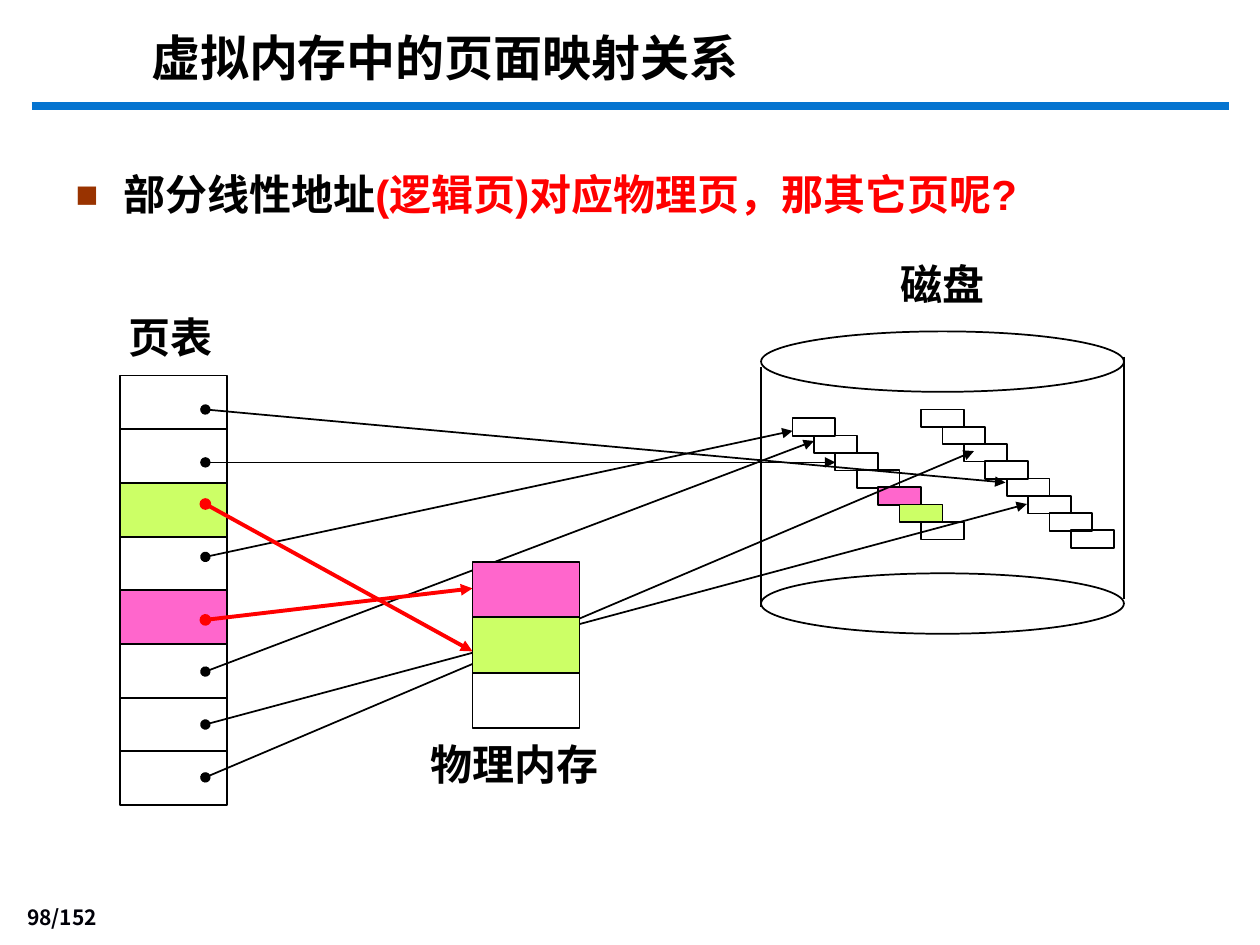
from lxml import etree
from pptx import Presentation
from pptx.dml.color import RGBColor
from pptx.enum.shapes import MSO_CONNECTOR, MSO_SHAPE
from pptx.enum.text import MSO_ANCHOR, PP_ALIGN
from pptx.oxml.ns import qn
from pptx.util import Inches, Pt

LINE = MSO_CONNECTOR.STRAIGHT
RECT, OVAL = MSO_SHAPE.RECTANGLE, MSO_SHAPE.OVAL
TOP, LOW = MSO_ANCHOR.TOP, MSO_ANCHOR.BOTTOM
LEFT, RIGHT = PP_ALIGN.LEFT, PP_ALIGN.RIGHT
BLACK, RED, PINK, LIME = "000000", "FF0000", "FF66CC", "CCFF66"
hue = RGBColor.from_string

prs = Presentation()
prs.slide_width, prs.slide_height = Inches(10), Inches(7.5)
slide = prs.slides.add_slide(prs.slide_layouts[1])
shapes = slide.shapes
title, body = slide.placeholders

# Rule under the title, then arrows: from x, y, to x, y, colour, width, arrow?
# The boxes of memory are drawn last and cover the arrows.
rule = (0.25, 0.84, 9.75, 0.84, "0574D0", 4.5, False)
walls = [(6.04, 2.91, 6.04, 4.82, BLACK, 1, False),
         (8.92, 2.83, 8.92, 4.75, BLACK, 1, False)]
links = [(3.25, 7.98, 3.83), (3.67, 6.63, 3.67), (4.42, 6.29, 3.42),
         (5.33, 6.46, 3.5), (5.75, 8.15, 4), (6.17, 7.73, 3.58)]
arrows = [(1.63, y, x2, y2, BLACK, 1, True) for y, x2, y2 in links]
arrows += [(1.63, 4.92, 3.75, 4.67, RED, 2.25, True),
           (1.63, 4, 3.75, 5.17, RED, 2.25, True)]

# Page table, disk pages and memory: left, top, width, height, fill
STEP = 0.43
table = [(0.95, 2.98 + 0.426 * i, 0.85, STEP, {2: LIME, 4: PINK}.get(i))
         for i in range(8)]
disk = [(x + 0.17 * i, y + 0.137 * i, 0.34, 0.14, fills.get(i))
        for x, y, count, fills in [(6.29, 3.32, 7, {4: PINK, 5: LIME}),
                                   (7.31, 3.25, 8, {})]
        for i in range(count)]
memory = [(3.75, 4.46 + 0.44 * i, 0.85, 0.44, fill)
          for i, fill in enumerate([PINK, LIME, None])]


def draw_box(kind, x, y, w, h, fill=None):
    box = shapes.add_shape(kind, Inches(x), Inches(y), Inches(w), Inches(h))
    box.shadow.inherit = False
    box.line.color.rgb = hue(BLACK)
    box.line.width = Pt(1)
    if fill:
        box.fill.solid()
        box.fill.fore_color.rgb = hue(fill)
    else:
        box.fill.background()


def add_run(para, text, size, font, color=BLACK):
    run = para.add_run()
    run.text = text
    run.font.size, run.font.name, run.font.bold = Pt(size), font, True
    run.font.color.rgb = hue(color)


# Disk outline, pages and page table
for y in (2.63, 4.55):
    draw_box(OVAL, 6.04, y, 2.88, 0.48)
for cell in table + disk:
    draw_box(RECT, *cell)

# Lines and arrows
for x, y, x2, y2, color, width, arrow in [rule] + walls + arrows:
    line = shapes.add_connector(LINE, Inches(x), Inches(y), Inches(x2), Inches(y2))
    line.line.color.rgb = hue(color)
    line.line.width = Pt(width)
    props = line.line._get_or_add_ln()
    if arrow:
        etree.SubElement(props, qn("a:headEnd"), type="oval")
        etree.SubElement(props, qn("a:tailEnd"), type="triangle")
    etree.SubElement(props.getparent(), qn("a:effectLst"))

# Physical memory
for cell in memory:
    draw_box(RECT, *cell)

# Labels and page number
COMIC, NOTO = "Comic Neue", "Noto Sans CJK JP"
for text, x, y, w, h, size, font, color, align, anchor in [
        ("磁盘", 7.05, 2, 0.87, 0.5, 24, COMIC, BLACK, LEFT, TOP),
        ("页表", 0.92, 2.42, 0.88, 0.5, 24, COMIC, BLACK, LEFT, TOP),
        ("物理内存", 3.32, 5.81, 1.54, 0.5, 24, COMIC, BLACK, LEFT, TOP),
        ("98/152", 0, 7.14, 0.87, 0.29, 12, NOTO, "000008", RIGHT, LOW)]:
    box = shapes.add_textbox(Inches(x), Inches(y), Inches(w), Inches(h))
    frame = box.text_frame
    frame.word_wrap = False
    frame.vertical_anchor = anchor
    para = frame.paragraphs[0]
    para.alignment = align
    add_run(para, text, size, font, color)

# Title and body
for holder, x, y, w, h in [(title, 1.1, 0.17, 9, 0.74), (body, 0.5, 1.17, 8.66, 0.95)]:
    holder.left, holder.top = Inches(x), Inches(y)
    holder.width, holder.height = Inches(w), Inches(h)
    holder.text_frame.vertical_anchor = TOP
    holder.text_frame.paragraphs[0].alignment = LEFT
add_run(title.text_frame.paragraphs[0], "虚拟内存中的页面映射关系", 28, "Arial")

para = body.text_frame.paragraphs[0]
para.line_spacing = 1.3
para.space_before = Pt(0)
props = para._p.get_or_add_pPr()
props.set("marL", str(Inches(0.38)))
props.set("indent", str(-Inches(0.38)))
mark = etree.SubElement(props, qn("a:buClr"))
etree.SubElement(mark, qn("a:srgbClr"), val="993300")
etree.SubElement(props, qn("a:buSzPct"), val="90000")
etree.SubElement(props, qn("a:buFont"), typeface="Arial")
etree.SubElement(props, qn("a:buChar"), char="■")
add_run(para, "部分线性地址", 24, "Arial")
add_run(para, "(逻辑页)对应物理页，那其它页呢?", 24, "Arial", RED)

prs.save("out.pptx")
